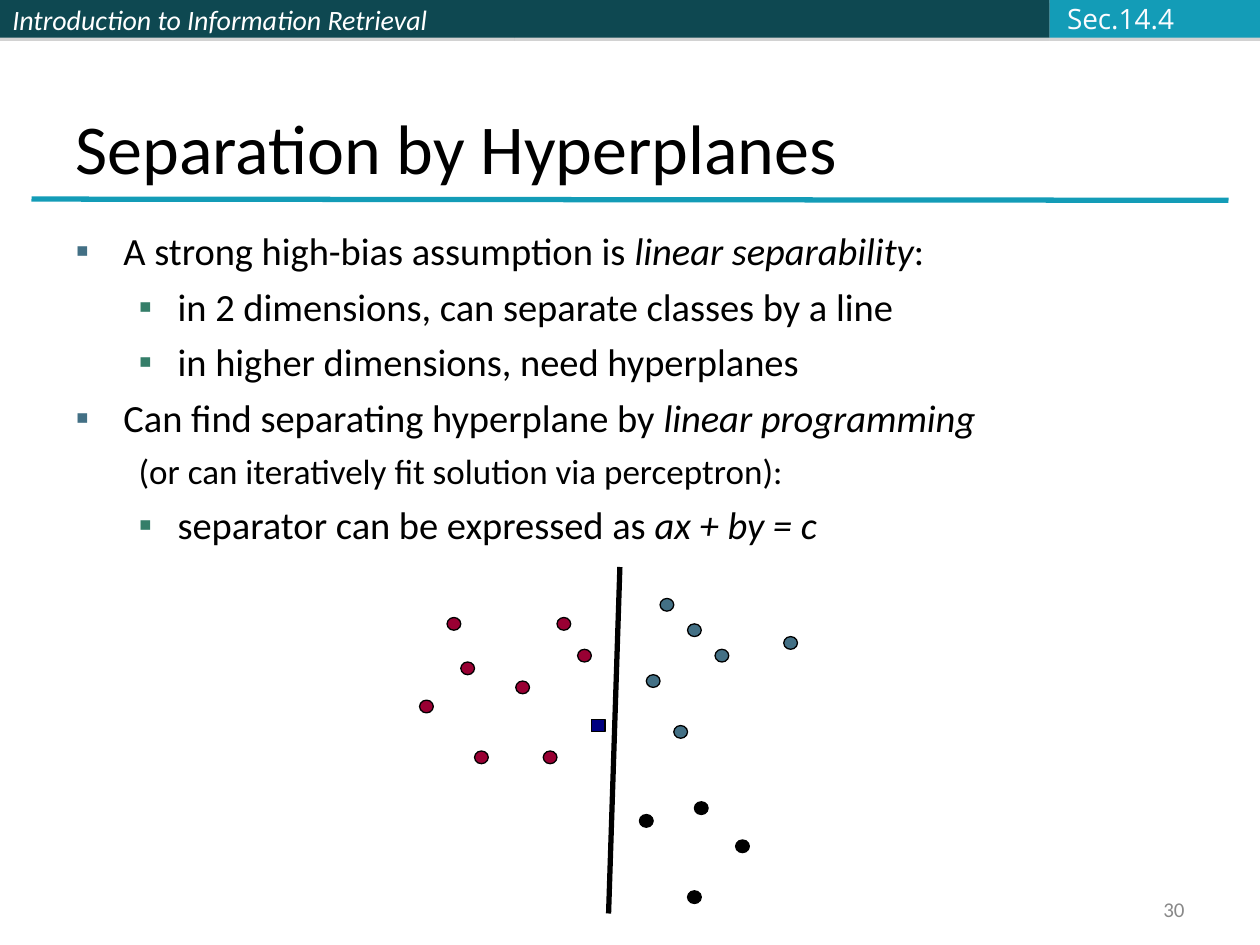
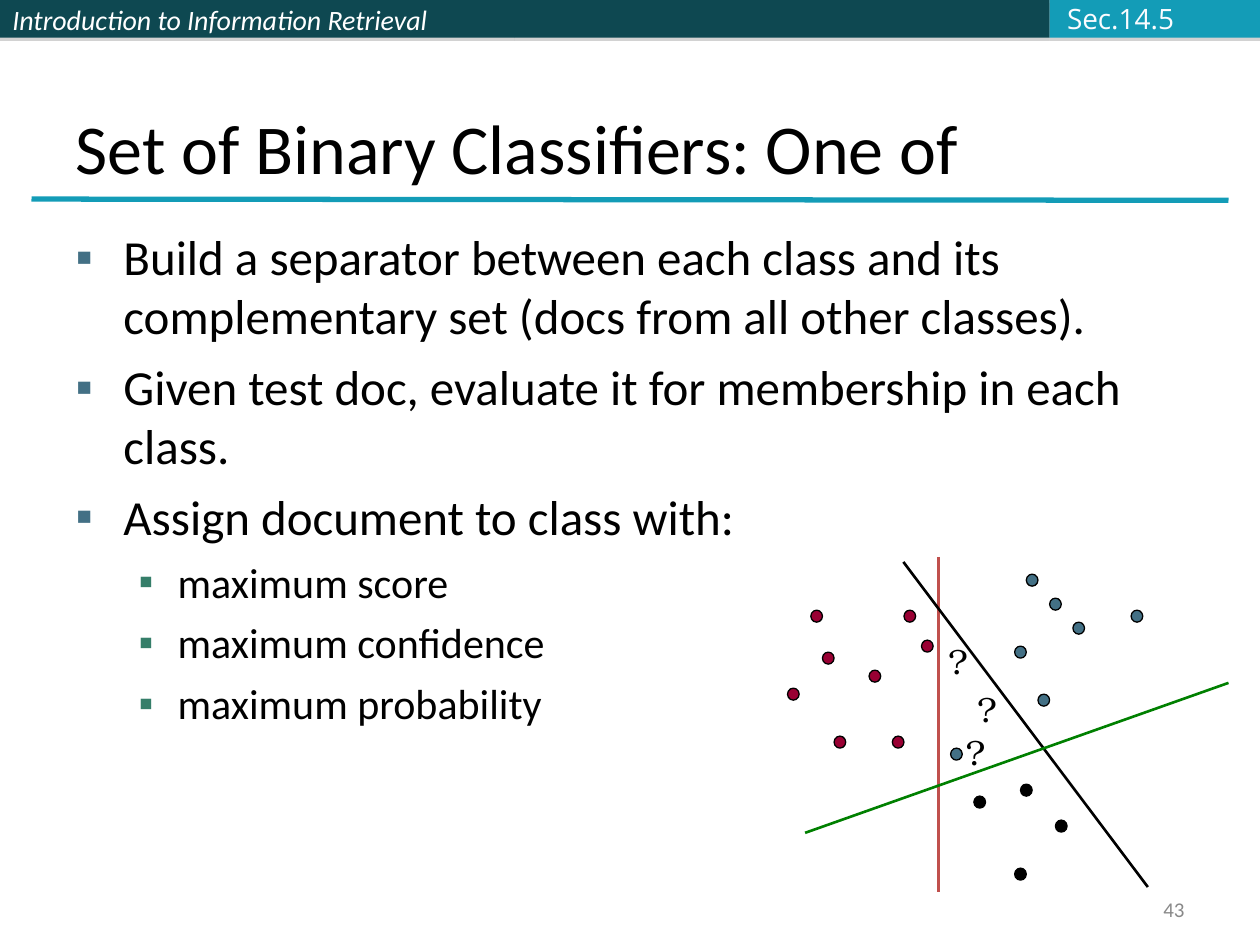
from lxml import etree
from pptx import Presentation
from pptx.dml.color import RGBColor
from pptx.enum.shapes import MSO_CONNECTOR, MSO_SHAPE
from pptx.enum.text import MSO_ANCHOR, MSO_AUTO_SIZE, PP_ALIGN
from pptx.oxml.ns import qn
from pptx.util import Inches, Pt

RECTANGLE, OVAL = MSO_SHAPE.RECTANGLE, MSO_SHAPE.OVAL
STRAIGHT = MSO_CONNECTOR.STRAIGHT
LEFT, RIGHT = PP_ALIGN.LEFT, PP_ALIGN.RIGHT
TOP, MIDDLE, BOTTOM = MSO_ANCHOR.TOP, MSO_ANCHOR.MIDDLE, MSO_ANCHOR.BOTTOM

BLACK, WHITE, GRAY = "000000", "FFFFFF", "898989"
DARK_TEAL, TEAL, SECTION_TEXT = "0E4851", "139CB7", "FBFCFF"
RED, BLUE, NAVY = "990033", "437085", "000080"
RED_LINE, GREEN_LINE = "C0504D", "008000"
BODY_FONT, SECTION_FONT, MARK_FONT = "Calibri", "Open Sans", "TeX Gyre Bonum"

# Per list level: left margin, first-line indent, bullet colour
LEVELS = [(0.38, -0.38, BLUE), (0.81, -0.31, "357E69")]

# Data points as (column, row) on the scatter grid
GRID_COLUMNS, GRID_ROWS = 53, 46
RED_POINTS = [(4, 3), (6, 10), (8, 24), (20, 3), (0, 16), (14, 13), (23, 8), (18, 24)]
BLUE_POINTS = [(33, 12), (35, 0), (37, 20), (39, 4), (53, 6), (43, 8)]
BLACK_POINTS = [(40, 32), (32, 34), (39, 46), (46, 38)]


def color(hex_string):
    return RGBColor.from_string(hex_string)


def format_runs(paragraph, size, font=BODY_FONT, hex_color=BLACK):
    for run in paragraph.runs:
        run.font.size = Pt(size)
        run.font.name = font
        run.font.color.rgb = color(hex_color)


def place(shape, left, top, width, height):
    shape.left, shape.top = Inches(left), Inches(top)
    shape.width, shape.height = Inches(width), Inches(height)


def add_label(slide, box, text, size, font, hex_color, anchor=MIDDLE, align=LEFT, wrap=False):
    label = slide.shapes.add_textbox(*map(Inches, box))
    frame = label.text_frame
    frame.word_wrap = wrap
    frame.vertical_anchor = anchor
    frame.text = text
    paragraph = frame.paragraphs[0]
    paragraph.alignment = align
    format_runs(paragraph, size, font, hex_color)
    return paragraph


def add_line(slide, start, end, hex_color, width):
    line = slide.shapes.add_connector(STRAIGHT, *map(Inches, (*start, *end)))
    line.line.color.rgb = color(hex_color)
    line.line.width = Pt(width)
    etree.SubElement(line._element.spPr, qn("a:effectLst"))


def add_band(slide, left, width, fill):
    """Add one part of the top band, with a thin shadow below it."""
    band = slide.shapes.add_shape(RECTANGLE, Inches(left), 0, Inches(width), Inches(0.3))
    band.fill.solid()
    band.fill.fore_color.rgb = color(fill)
    band.line.fill.background()
    band.shadow.inherit = False
    effects = band._element.spPr.find(qn("a:effectLst"))
    shadow = etree.SubElement(effects, qn("a:outerShdw"), dist=str(Pt(1.8)), dir="5400000")
    gray = etree.SubElement(shadow, qn("a:srgbClr"), val="808080")
    etree.SubElement(gray, qn("a:alpha"), val="35000")
    return band


def add_header(slide, section):
    course = add_band(slide, 0, 4.08, DARK_TEAL)
    add_band(slide, 4.08, 4.25, DARK_TEAL)
    add_band(slide, 8.33, 1.67, TEAL)
    course.text_frame.text = "Introduction to Information Retrieval"
    course.text_frame.vertical_anchor = MIDDLE
    paragraph = course.text_frame.paragraphs[0]
    paragraph.alignment = LEFT
    paragraph.font.italic = True
    format_runs(paragraph, 16, hex_color=WHITE)
    paragraph.runs[0].font.italic = True
    add_label(slide, (8.37, -0.04, 1.05, 0.37), section, 16, SECTION_FONT, SECTION_TEXT)


def set_title(slide, text):
    title = slide.shapes.title
    place(title, 0.5, 0.3, 9, 1.25)
    frame = title.text_frame
    frame.text = text
    frame.vertical_anchor = BOTTOM
    frame.auto_size = MSO_AUTO_SIZE.NONE
    frame.paragraphs[0].alignment = LEFT
    format_runs(frame.paragraphs[0], 40)


def set_bullet(paragraph, level, has_bullet):
    margin, indent, bullet_color = LEVELS[level]
    properties = paragraph._p.get_or_add_pPr()
    properties.set("marL", str(Inches(margin)))
    properties.set("indent", str(Inches(indent)))
    if has_bullet:
        holder = etree.SubElement(properties, qn("a:buClr"))
        etree.SubElement(holder, qn("a:srgbClr"), val=bullet_color)
        etree.SubElement(properties, qn("a:buChar"), char="▪")
    else:
        etree.SubElement(properties, qn("a:buNone"))


def set_body(slide, items):
    """Fill the list from (level, size, has_bullet, text); *stars* enclose italics."""
    body = slide.placeholders[1]
    place(body, 0.5, 1.75, 9, 5.42)
    frame = body.text_frame
    frame.auto_size = MSO_AUTO_SIZE.NONE
    for index, (level, size, has_bullet, text) in enumerate(items):
        paragraph = frame.add_paragraph() if index else frame.paragraphs[0]
        paragraph.level = level
        paragraph.space_before = Pt(size / 4)
        set_bullet(paragraph, level, has_bullet)
        for part_index, part in enumerate(text.split("*")):
            if part:
                run = paragraph.add_run()
                run.text = part
                run.font.italic = part_index % 2 == 1
        format_runs(paragraph, size)


def add_points(slide, area, points, fill, preset=OVAL, shift=(0, 0)):
    """Draw points on the scatter grid that spans area (left, top, width, height)."""
    left, top, width, height = area
    column_step, row_step = width / GRID_COLUMNS, height / GRID_ROWS
    for column, row in points:
        point = slide.shapes.add_shape(
            preset,
            Inches(left + (column + shift[0]) * column_step),
            Inches(top + (row + shift[1]) * row_step),
            Inches(2 * column_step), Inches(2 * row_step))
        point.fill.solid()
        point.fill.fore_color.rgb = color(fill)
        point.line.color.rgb = color(BLACK)
        point.line.width = Pt(0.75)
        point.shadow.inherit = False


def add_content_slide(presentation, section, title, number, items):
    slide = presentation.slides.add_slide(presentation.slide_layouts[1])
    add_header(slide, section)
    set_title(slide, title)
    add_line(slide, (0.25, 1.58), (9.75, 1.59), TEAL, 3)
    set_body(slide, items)
    add_label(slide, (7.17, 7.08, 2.33, 0.27), str(number), 12, BODY_FONT, GRAY,
              align=RIGHT, wrap=True)
    return slide


def add_hyperplane_slide(presentation):
    slide = add_content_slide(presentation, "Sec.14.4", "Separation by Hyperplanes", 30, [
        (0, 22, True, "A strong high-bias assumption is *linear separability*:"),
        (1, 22, True, "in 2 dimensions, can separate classes by a line"),
        (1, 22, True, "in higher dimensions, need hyperplanes"),
        (0, 22, True, "Can find separating hyperplane by *linear programming*"),
        (1, 20, False, "(or can iteratively fit solution via perceptron):"),
        (1, 22, True, "separator can be expressed as *ax + by = c*"),
    ])
    area = (3.33, 4.75, 2.89, 2.32)
    add_points(slide, area, RED_POINTS, RED)
    add_points(slide, area, BLUE_POINTS, BLUE)
    add_points(slide, area, BLACK_POINTS, BLACK)
    add_points(slide, area, [(25, 19)], NAVY, RECTANGLE)
    add_line(slide, (4.92, 4.5), (4.83, 7.25), BLACK, 3)


def add_classifier_slide(presentation):
    slide = add_content_slide(presentation, "Sec.14.5", "Set of Binary Classifiers: One of", 43, [
        (0, 28, True, "Build a separator between each class and its complementary set "
                      "(docs from all other classes)."),
        (0, 28, True, "Given test doc, evaluate it for membership in each class."),
        (0, 28, True, "Assign document to class with:"),
        (1, 24, True, "maximum score"),
        (1, 24, True, "maximum confidence"),
        (1, 24, True, "maximum probability"),
    ])
    area = (6.25, 4.7, 2.45, 2.19)
    add_points(slide, area, RED_POINTS, RED)
    add_points(slide, area, BLUE_POINTS, BLUE, shift=(6, -3))
    add_points(slide, area, BLACK_POINTS, BLACK)
    add_line(slide, (7.45, 4.42), (7.45, 7.08), RED_LINE, 1.5)
    for left, top in [(7.57, 5.75), (7.43, 5.03), (7.66, 5.41)]:
        mark = add_label(slide, (left, top, 0.32, 0.44), "?", 20, MARK_FONT, BLACK, TOP)
        mark.space_before = Pt(5)
    add_line(slide, (7.17, 4.46), (9.11, 7.04), BLACK, 1.5)
    add_line(slide, (6.39, 6.61), (9.75, 5.42), GREEN_LINE, 1.5)
    add_points(slide, area, [(28, 26)], BLUE)


def main():
    presentation = Presentation()
    presentation.slide_width, presentation.slide_height = Inches(10), Inches(7.5)
    add_hyperplane_slide(presentation)
    add_classifier_slide(presentation)
    presentation.save("out.pptx")


if __name__ == "__main__":
    main()
